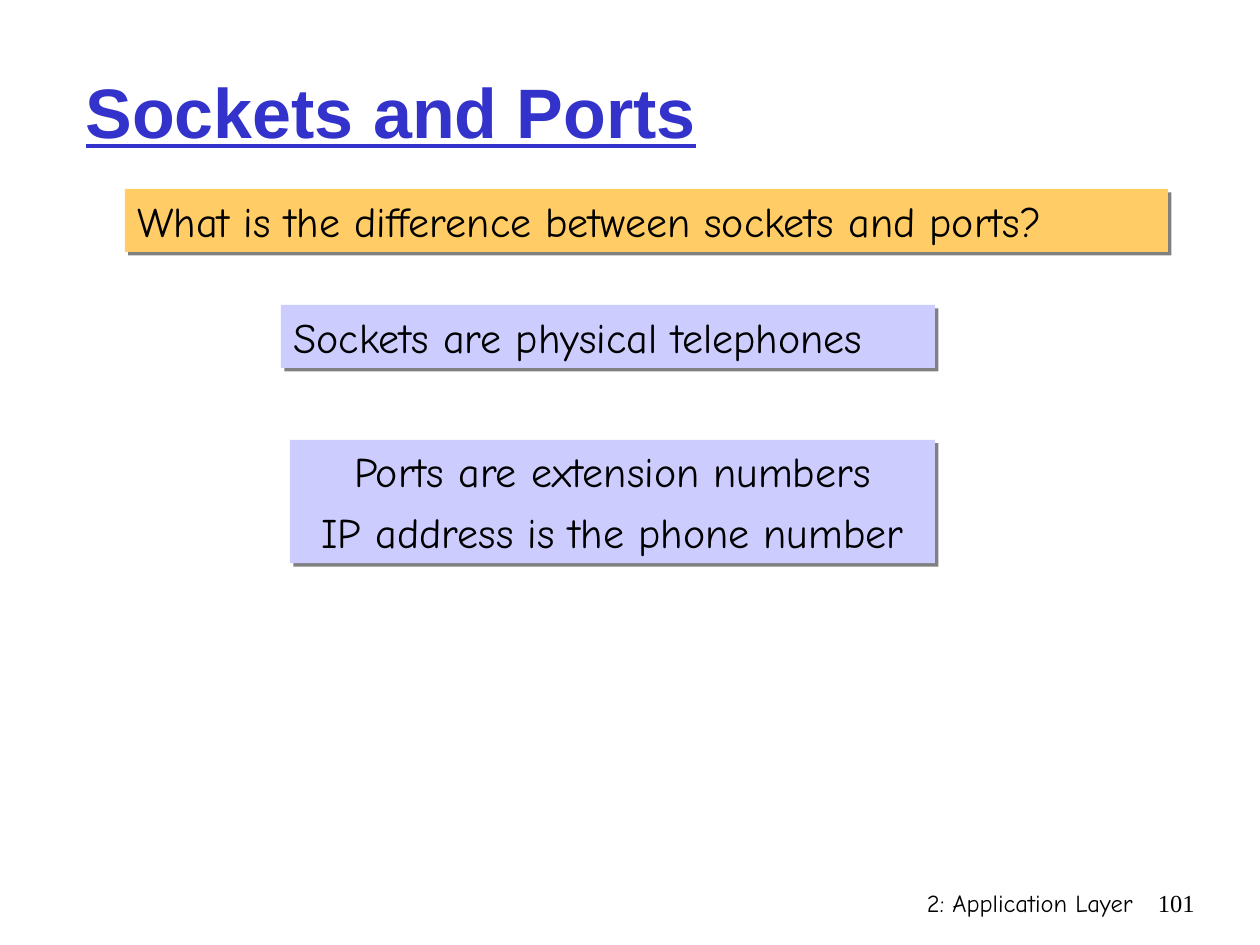
"""Build the slide on sockets and ports."""
from lxml import etree
from pptx import Presentation
from pptx.dml.color import RGBColor
from pptx.enum import shapes, text
from pptx.oxml import ns
from pptx.util import Inches, Pt

HUES = {"title": "3333CC", "ask": "FFCC66", "reply": "CCCCFF", "ink": "000000", "shade": "808080"}
LEFT, MID, RIGHT = text.PP_ALIGN.LEFT, text.PP_ALIGN.CENTER, text.PP_ALIGN.RIGHT
HEAD = {"name": "Arial", "size": Pt(40), "bold": True, "underline": True}
BODY = {"name": "Comic Neue", "size": Pt(24)}
FOOT = {"name": "Comic Neue", "size": Pt(14)}
PAGE = {"name": "Times New Roman", "size": Pt(14)}

TITLE = ("Sockets and Ports", (0.58, 0.25, 8.5, 1.25))
CARDS = [
    (["What is the difference between sockets and ports?"], (0.99, 1.5, 8.28, 0.5), "ask", LEFT),
    (["Sockets are physical telephones"], (2.23, 2.42, 5.19, 0.5), "reply", LEFT),
    (["Ports are extension numbers", "IP address is the phone number"],
     (2.3, 3.49, 5.12, 0.98), "reply", MID),
]
NOTES = [
    ("2: Application Layer", (5.92, 7, 3.17, 0.5), FOOT),
    ("101", (9.08, 7, 0.5, 0.5), PAGE),
]


def color(key):
    return RGBColor.from_string(HUES[key])


def write(shape, lines, look, align, hue="ink", anchor=text.MSO_ANCHOR.TOP):
    frame = shape.text_frame
    frame.word_wrap = True
    frame.auto_size = text.MSO_AUTO_SIZE.NONE
    frame.vertical_anchor = anchor
    frame.text = "\n".join(lines)
    for i, para in enumerate(frame.paragraphs):
        para.alignment = align
        para.space_before = Pt(5.5 if i else 0)
        font = para.runs[0].font
        for key, value in look.items():
            setattr(font, key, value)
        font.color.rgb = color(hue)


def shade(shape):
    shape.shadow.inherit = False
    effects = shape._element.spPr.find(ns.qn("a:effectLst"))
    outer = etree.SubElement(effects, ns.qn("a:outerShdw"), dist=str(Pt(2.8)),
                             dir="2700000", algn="ctr", rotWithShape="0")
    etree.SubElement(outer, ns.qn("a:srgbClr"), val=HUES["shade"])


def main():
    deck = Presentation()
    deck.slide_width, deck.slide_height = Inches(10), Inches(7.5)
    slide = deck.slides.add_slide(deck.slide_layouts[5])

    words, area = TITLE
    title = slide.shapes.title
    title.left, title.top, title.width, title.height = map(Inches, area)
    write(title, [words], HEAD, LEFT, "title", text.MSO_ANCHOR.MIDDLE)

    for lines, area, hue, align in CARDS:
        card = slide.shapes.add_shape(shapes.MSO_SHAPE.RECTANGLE, *map(Inches, area))
        card.fill.solid()
        card.fill.fore_color.rgb = color(hue)
        card.line.fill.background()
        shade(card)
        write(card, lines, BODY, align)

    for words, area, look in NOTES:
        write(slide.shapes.add_textbox(*map(Inches, area)), [words], look, RIGHT)

    deck.save("out.pptx")


if __name__ == "__main__":
    main()
